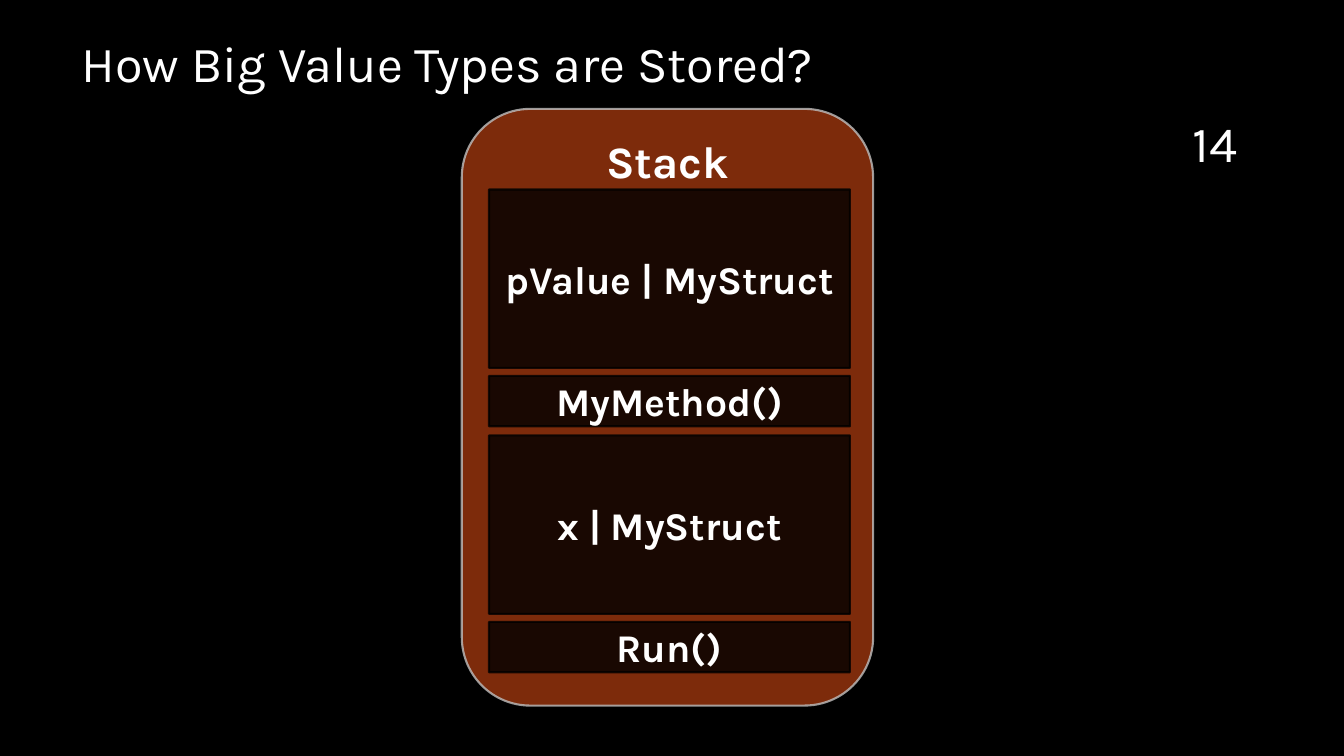
from pptx import Presentation
from pptx.dml.color import RGBColor
from pptx.enum.shapes import MSO_SHAPE
from pptx.enum.text import MSO_ANCHOR, PP_ALIGN
from pptx.oxml.ns import qn
from pptx.util import Inches, Pt
from lxml import etree

BLACK = RGBColor(0x00, 0x00, 0x00)
WHITE = RGBColor(0xFF, 0xFF, 0xFF)
RUST = RGBColor(0x9D, 0x36, 0x0E)
GREY = RGBColor(0xBF, 0xBF, 0xBF)


def write(shape, text, size, bold=False, align=PP_ALIGN.LEFT, anchor=MSO_ANCHOR.MIDDLE):
    tf = shape.text_frame
    tf.word_wrap = True
    tf.vertical_anchor = anchor
    p = tf.paragraphs[0]
    p.alignment = align
    r = p.add_run()
    r.text = text
    r.font.color.rgb = WHITE
    for name, value in {"name": "Karla", "size": Pt(size), "bold": bold}.items():
        setattr(r.font, name, value)
    return p


def add_box(kind, box, fill, line, text, size, anchor):
    sp = s.shapes.add_shape(kind, *map(Inches, box))
    sp.shadow.inherit = False
    sp.fill.solid()
    sp.fill.fore_color.rgb = fill
    sp.line.color.rgb = line
    sp.line.width = Pt(1.5)
    # Fill and line are 80% opaque
    for color in sp._element.spPr.iter(qn("a:srgbClr")):
        etree.SubElement(color, qn("a:alpha"), val="80000")
    write(sp, text, size, True, PP_ALIGN.CENTER, anchor)


prs = Presentation()
prs.slide_width, prs.slide_height = Inches(13.33), Inches(7.5)
s = prs.slides.add_slide(prs.slide_layouts[5])
s.background.fill.solid()
s.background.fill.fore_color.rgb = BLACK

# Title
title = s.shapes.title
title_box = {"left": 0.71, "top": 0.07, "width": 10.51, "height": 1.18}
for name, value in title_box.items():
    setattr(title, name, Inches(value))
write(title, "How Big Value Types are Stored?", 36).line_spacing = 0.9

# Slide number
number = s.shapes.add_textbox(*map(Inches, (11.73, 0.82, 1.26, 1.19)))
write(number, "14", 36)

# Stack container
add_box(MSO_SHAPE.ROUNDED_RECTANGLE, (4.58, 1.08, 4.08, 5.92), RUST, GREY,
        "Stack", 32, MSO_ANCHOR.TOP)

# Call frames, from the bottom up: a method with its value above it
FRAME_LEFT, FRAME_WIDTH, FRAME_PITCH = 4.85, 3.58, 2.44
METHOD_TOP, METHOD_HEIGHT = 6.17, 0.5
VALUE_TOP, VALUE_HEIGHT = 4.32, 1.77
frames = [("Run()", "x | MyStruct"), ("MyMethod()", "pValue | MyStruct")]
for i, (method, value) in enumerate(frames):
    for text, top, height in ((method, METHOD_TOP, METHOD_HEIGHT),
                              (value, VALUE_TOP, VALUE_HEIGHT)):
        box = (FRAME_LEFT, top - i * FRAME_PITCH, FRAME_WIDTH, height)
        add_box(MSO_SHAPE.RECTANGLE, box, BLACK, BLACK, text, 28, MSO_ANCHOR.MIDDLE)

prs.save("out.pptx")
